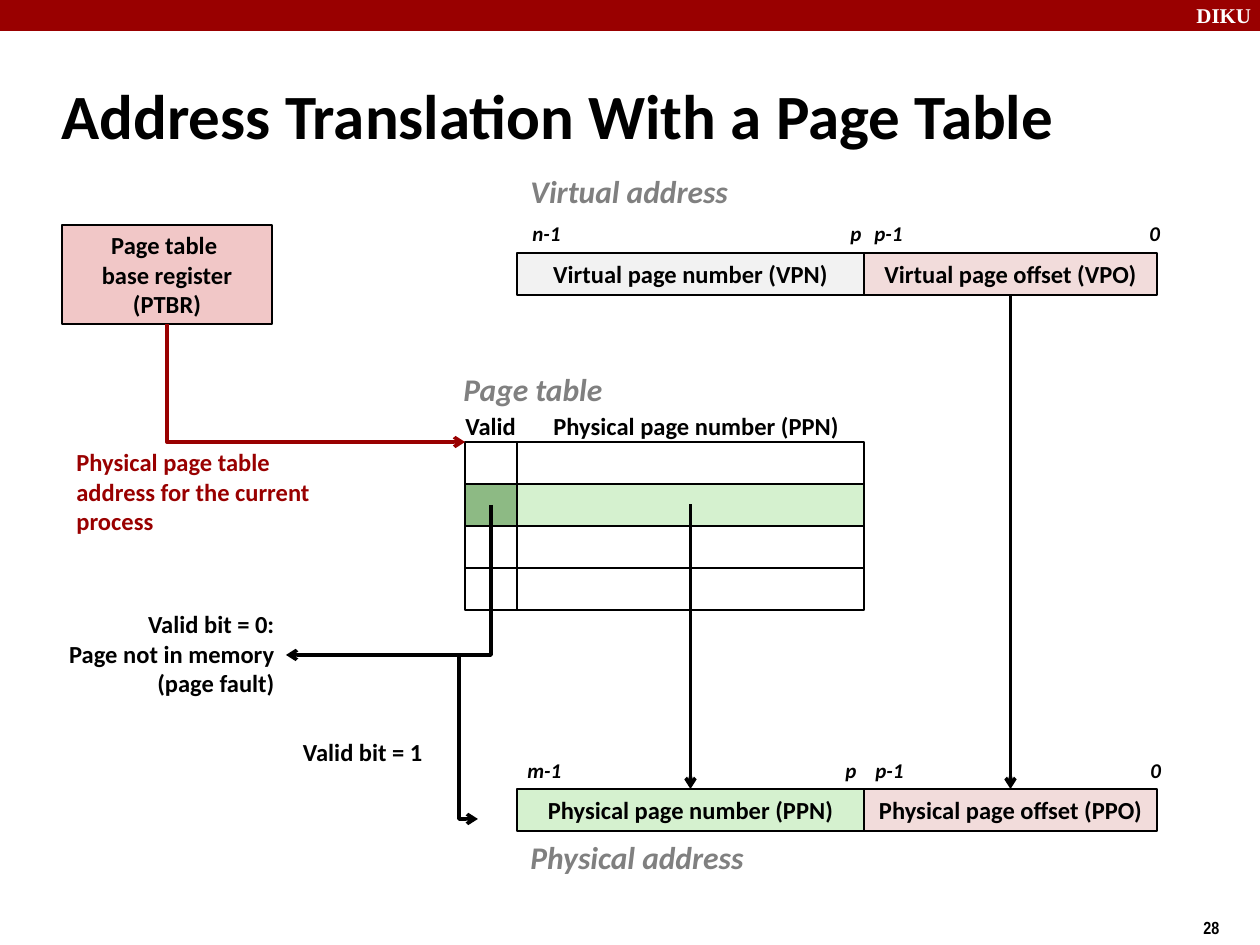
from dataclasses import dataclass
from typing import NamedTuple

from lxml.etree import SubElement
from pptx import Presentation
from pptx.dml.color import RGBColor
from pptx.enum.shapes import MSO_CONNECTOR, MSO_SHAPE
from pptx.enum.text import MSO_ANCHOR, MSO_AUTO_SIZE, PP_ALIGN
from pptx.oxml.ns import qn
from pptx.util import Emu, Pt

EMU_PER_PX = 914400 / 126


def px(n: float) -> Emu:
    return Emu(round(n * EMU_PER_PX))


@dataclass(frozen=True)
class Theme:
    body: str = "Calibri"
    black: str = "000000"
    white: str = "FFFFFF"
    red: str = "990000"
    grey: str = "808080"
    vpn: str = "F2F2F2"
    offset: str = "F2DCDB"
    ppn: str = "D5F1CF"
    valid: str = "8DBA84"
    register: str = "F1C7C7"
    title: int = 36
    heading: int = 18
    label: int = 14
    bit: int = 12
    number: int = 10


T = Theme()


class Style(NamedTuple):
    size: int = T.label
    color: str = T.black
    italic: bool = False
    font: str = T.body
    align: PP_ALIGN = PP_ALIGN.LEFT


class Box(NamedTuple):
    x: int
    y: int
    w: int
    h: int
    fill: str | None = None
    text: str = ""


class Label(NamedTuple):
    x: int
    y: int
    w: int
    h: int
    text: str
    style: Style = Style()
    wrap: bool = False


HEADING = Style(T.heading, T.grey, True)
BIT = Style(T.bit, italic=True)
RIGHT = Style(align=PP_ALIGN.RIGHT)
CENTER = Style(align=PP_ALIGN.CENTER)

ROW_H = 42
VALID_X, PPN_X, OFFSET_X = 465, 517, 864
VALID_W, PPN_W, OFFSET_W = PPN_X - VALID_X, OFFSET_X - PPN_X, 293
VIRTUAL_Y, TABLE_Y, PHYSICAL_Y = 253, 442, 789

LABELS = [
    Label(1184, -4, 84, 38, "DIKU", Style(T.bit, T.white, font="Times New Roman"), True),
    Label(1191, 911, 94, 36, "28", Style(T.number, font="Arial Narrow")),
    Label(518, 166, 235, 51, "Virtual address", HEADING),
    Label(518, 832, 250, 51, "Physical address", HEADING),
    Label(451, 364, 179, 51, "Page table", HEADING, True),
    Label(453, 405, 82, 42, "Valid"),
    Label(541, 405, 322, 42, "Physical page number (PPN)"),
    Label(64, 441, 270, 101,
          "Physical page table\naddress for the current\nprocess", Style(color=T.red)),
    Label(45, 603, 242, 101,
          "Valid bit = 0:\nPage not in memory\n(page fault)", RIGHT),
    Label(280, 731, 155, 42, "Valid bit = 1", RIGHT),
]
BIT_ROWS = {
    214: [(520, 58, "n-1"), (838, 40, "p"), (862, 58, "p-1"), (1137, 40, "0")],
    751: [(515, 64, "m-1"), (833, 40, "p"), (863, 58, "p-1"), (1138, 40, "0")],
}


def write(tf, text: str, style: Style) -> None:
    """Fill a text frame; newline starts a paragraph, vertical tab a line."""
    tf.text = text
    for p in tf.paragraphs:
        p.alignment = style.align
        for br in p._p.findall(qn("a:br")):
            SubElement(br, qn("a:rPr"), sz=str(style.size * 100))
        for r in p.runs:
            formats = {"size": Pt(style.size), "name": style.font,
                       "bold": True, "italic": style.italic}
            for name, value in formats.items():
                setattr(r.font, name, value)
            r.font.color.rgb = RGBColor.from_string(style.color)


def add_box(s, box: Box, outlined: bool = True):
    sp = s.shapes.add_shape(MSO_SHAPE.RECTANGLE, *map(px, box[:4]))
    sp.shadow.inherit = False
    if box.fill:
        sp.fill.solid()
        sp.fill.fore_color.rgb = RGBColor.from_string(box.fill)
    else:
        sp.fill.background()
    if outlined:
        sp.line.color.rgb = RGBColor.from_string(T.black)
        sp.line.width = Pt(1)
    else:
        sp.line.fill.background()
    if box.text:
        sp.text_frame.vertical_anchor = MSO_ANCHOR.MIDDLE
        write(sp.text_frame, box.text, CENTER)
    return sp


def add_label(s, label: Label) -> None:
    tf = s.shapes.add_textbox(*map(px, label[:4])).text_frame
    tf.word_wrap = label.wrap
    write(tf, label.text, label.style)


def add_arrow(s, start: tuple, end: tuple, color: str = T.black,
              kind: MSO_CONNECTOR = MSO_CONNECTOR.STRAIGHT):
    cxn = s.shapes.add_connector(kind, *map(px, start + end))
    cxn.line.color.rgb = RGBColor.from_string(color)
    cxn.line.width = Pt(2)
    SubElement(cxn.line._get_or_add_ln(), qn("a:tailEnd"), type="arrow")
    SubElement(cxn._element.spPr, qn("a:effectLst"))
    return cxn


def add_corner_arrow(s, start: tuple, end: tuple, color: str = T.black) -> None:
    """One-bend arrow that runs down first and then sideways."""
    cxn = add_arrow(s, start, end, color, MSO_CONNECTOR.ELBOW)
    spPr = cxn._element.spPr
    spPr.find(qn("a:prstGeom")).set("prst", "bentConnector2")
    (x1, y1), (x2, y2) = start, end
    w, h = abs(y2 - y1), abs(x2 - x1)
    cxn.left, cxn.top = px((x1 + x2 - w) / 2), px((y1 + y2 - h) / 2)
    cxn.width, cxn.height = px(w), px(h)
    rightward = x2 > x1
    xfrm = spPr.find(qn("a:xfrm"))
    xfrm.set("rot", str((270 if rightward else 90) * 60000))
    xfrm.set("flipH", str(int(rightward)))


def add_side_arrow(s, start: tuple, end: tuple, via_x: int) -> None:
    """Two-bend arrow whose upright part stands at via_x."""
    cxn = add_arrow(s, start, end, kind=MSO_CONNECTOR.ELBOW)
    ratio = (via_x - start[0]) / (end[0] - start[0])
    guides = cxn._element.spPr.find(qn("a:prstGeom")).find(qn("a:avLst"))
    SubElement(guides, qn("a:gd"), name="adj1", fmla=f"val {round(ratio * 100000)}")


def add_title(s, text: str) -> None:
    title = s.shapes.title
    title.left, title.top, title.width, title.height = map(px, (49, 62, 1046, 105))
    tf = title.text_frame
    tf.auto_size = MSO_AUTO_SIZE.NONE
    tf.vertical_anchor = MSO_ANCHOR.MIDDLE
    write(tf, text, Style(T.title))


def add_address(s, y: int, kind: str, number_fill: str, number: str, offset: str) -> tuple:
    return (
        add_box(s, Box(PPN_X, y, PPN_W, ROW_H, number_fill, f"{kind} page number ({number})")),
        add_box(s, Box(OFFSET_X, y, OFFSET_W, ROW_H, T.offset, f"{kind} page offset ({offset})")),
    )


def main() -> None:
    prs = Presentation()
    prs.slide_width, prs.slide_height = px(1260), px(945)
    s = prs.slides.add_slide(prs.slide_layouts[5])
    add_box(s, Box(0, 0, 1260, 31, T.red), outlined=False)
    add_title(s, "Address Translation With a Page Table")

    _, vpo = add_address(s, VIRTUAL_Y, "Virtual", T.vpn, "VPN", "VPO")
    for row in range(4):
        y = TABLE_Y + row * ROW_H
        ppn_fill, valid_fill = (T.ppn, T.valid) if row == 1 else (None, None)
        add_box(s, Box(PPN_X, y, PPN_W, ROW_H, ppn_fill))
        add_box(s, Box(VALID_X, y, VALID_W, ROW_H, valid_fill))
    ppn, ppo = add_address(s, PHYSICAL_Y, "Physical", T.ppn, "PPN", "PPO")
    add_box(s, Box(62, 225, 210, 99, T.register, "Page table \vbase register\n(PTBR)"))

    add_side_arrow(s, (491, 655), (478, 819), via_x=459)
    offset_mid, ppn_mid = OFFSET_X + OFFSET_W / 2, PPN_X + PPN_W / 2
    offset_arrow = add_arrow(s, (offset_mid, VIRTUAL_Y + ROW_H), (offset_mid, PHYSICAL_Y))
    offset_arrow.begin_connect(vpo, 2)
    offset_arrow.end_connect(ppo, 0)
    add_arrow(s, (ppn_mid, 504), (ppn_mid, PHYSICAL_Y)).end_connect(ppn, 0)
    add_corner_arrow(s, (491, 505), (286, 655))
    add_corner_arrow(s, (167, 324), (VALID_X, TABLE_Y), T.red)

    for label in LABELS:
        add_label(s, label)
    for y, bits in BIT_ROWS.items():
        for x, w, text in bits:
            add_label(s, Label(x, y, w, 38, text, BIT))
    prs.save("out.pptx")


if __name__ == "__main__":
    main()
